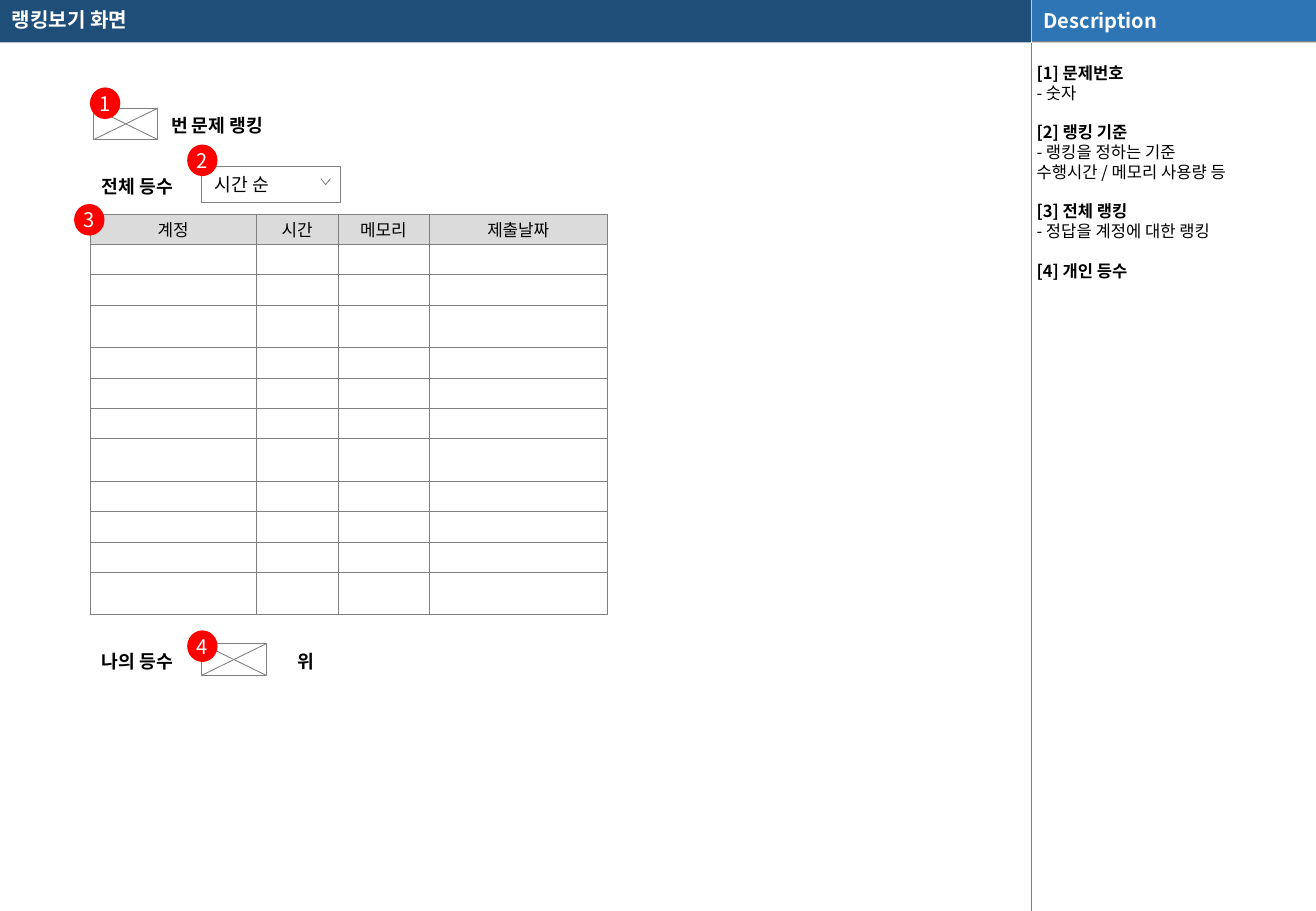
import lxml.etree
import pptx
import pptx.dml.color
import pptx.enum.shapes
import pptx.enum.text
import pptx.oxml.ns
import pptx.util

Inches = pptx.util.Inches
Pt = pptx.util.Pt
RGBColor = pptx.dml.color.RGBColor
SHAPE = pptx.enum.shapes.MSO_SHAPE
ALIGN = pptx.enum.text.PP_ALIGN
ANCHOR = pptx.enum.text.MSO_ANCHOR
qn = pptx.oxml.ns.qn

FONT = "Noto Sans CJK KR"
WHITE = RGBColor(0xFF, 0xFF, 0xFF)
BLACK = RGBColor(0, 0, 0)
NAVY = RGBColor(0x1F, 0x4E, 0x79)
BLUE = RGBColor(0x2E, 0x75, 0xB6)
GREY = RGBColor(0x80, 0x80, 0x80)
HEAD_GREY = RGBColor(0xDB, 0xDB, 0xDB)
RED = RGBColor(0xFF, 0, 0)

PAGE_W, PAGE_H = 10.83, 7.5
MAIN_W, BAR_H = 8.49, 0.35
CROSS_W, CROSS_H = 0.53, 0.26

NOTES = [
    ("[1] 문제번호", ["- 숫자"]),
    ("[2] 랭킹 기준", ["- 랭킹을 정하는 기준 \v수행시간 / 메모리 사용량 등"]),
    ("[3] 전체 랭킹", ["- 정답을 계정에 대한 랭킹"]),
    ("[4] 개인 등수", []),
]
COLUMNS = [("계정", 1.37), ("시간", 0.67), ("메모리", 0.75), ("제출날짜", 1.47)]
ROW_HEIGHTS = [0.25] + [0.25, 0.25, 0.35] + [0.25, 0.25, 0.25, 0.35] * 2


def style_para(para, size, color=BLACK, bold=False, align=ALIGN.LEFT):
    para.alignment = align
    for span in para.runs:
        span.font.name = FONT
        span.font.size = Pt(size)
        span.font.bold = bold
        span.font.color.rgb = color
        east_asian = lxml.etree.SubElement(span.font._element, qn("a:ea"))
        east_asian.set("typeface", FONT)


def set_frame(frame, insets, anchor=ANCHOR.MIDDLE, wrap=True):
    """Set the insets (left, top, right, bottom), anchor and wrapping."""
    (frame.margin_left, frame.margin_top,
     frame.margin_right, frame.margin_bottom) = map(Inches, insets)
    frame.vertical_anchor = anchor
    frame.word_wrap = wrap


def add_box(shapes, left, top, width, height, fill, line=None, kind=SHAPE.RECTANGLE):
    box = shapes.add_shape(kind, *map(Inches, (left, top, width, height)))
    paint(box, fill, line)
    return box


def paint(shape, fill, line=None):
    shape.shadow.inherit = False
    shape.fill.solid()
    shape.fill.fore_color.rgb = fill
    if line is None:
        shape.line.fill.background()
    else:
        shape.line.color.rgb = line
        shape.line.width = Pt(0.5)


def add_line(shapes, x1, y1, x2, y2, color=GREY, width=0.5):
    line = shapes.add_connector(pptx.enum.shapes.MSO_CONNECTOR.STRAIGHT,
                                *map(Inches, (x1, y1, x2, y2)))
    line.line.color.rgb = color
    line.line.width = Pt(width)
    lxml.etree.SubElement(line._element.spPr, qn("a:effectLst"))


def add_label(page, left, top, width, height, text, size=10.8, color=BLACK):
    label = page.shapes.add_textbox(*map(Inches, (left, top, width, height)))
    set_frame(label.text_frame, (0.1, 0.05, 0.1, 0.05))
    label.text_frame.text = text
    para = label.text_frame.paragraphs[0]
    style_para(para, size, color, bold=True)
    return para


def add_frame(page):
    """Title bar, description heading and the divider between the two regions."""
    side_w = PAGE_W - MAIN_W
    add_box(page.shapes, 0, 0, MAIN_W, BAR_H, NAVY)
    add_box(page.shapes, MAIN_W, 0, side_w, BAR_H, GREY)
    add_line(page.shapes, MAIN_W, 0, MAIN_W, BAR_H, WHITE, 0.25)
    add_line(page.shapes, MAIN_W, BAR_H, MAIN_W, PAGE_H, GREY, 0.25)
    heading = add_box(page.shapes, MAIN_W, 0, side_w, BAR_H - 0.01, BLUE)
    set_frame(heading.text_frame, (0.1, 0.05, 0.1, 0.05))
    heading.text_frame.text = "Description"
    style_para(heading.text_frame.paragraphs[0], 11.9, WHITE, bold=True)
    title = add_label(page, 0, 0, 8.25, BAR_H, "랭킹보기 화면", 11.9, WHITE)
    title.line_spacing = 0.9


def add_notes(page, left, top, width, height):
    pitch = Pt(11.7)
    box = page.shapes.add_textbox(*map(Inches, (left, top, width, height)))
    frame = box.text_frame
    set_frame(frame, (0.04, 0.17, 0.04, 0), ANCHOR.TOP)
    for index, (heading, details) in enumerate(NOTES):
        for position, text in enumerate([heading] + details):
            first = index == position == 0
            para = frame.paragraphs[0] if first else frame.add_paragraph()
            para.text = text
            para.line_spacing = pitch
            para.space_before = pitch if position == 0 and not first else Pt(0)
            style_para(para, 9.8, bold=position == 0)


def add_crossed_box(page, left, top):
    group = page.shapes.add_group_shape().shapes
    right, bottom = left + CROSS_W, top + CROSS_H
    add_box(group, left, top, CROSS_W, CROSS_H, WHITE, GREY)
    add_line(group, left, bottom, right, top)
    add_line(group, right, bottom, left, top)


def add_dropdown(page, left, top, width, height, text):
    group = page.shapes.add_group_shape().shapes
    field = add_box(group, left, top, width, height, WHITE, GREY)
    set_frame(field.text_frame, (0.11, 0.05, 0.22, 0.05))
    field.text_frame.text = text
    style_para(field.text_frame.paragraphs[0], 10.8)
    tip_x, arrow_y = left + width - 0.12, top + 0.1
    arrow = group.build_freeform(Inches(tip_x - 0.04), Inches(arrow_y))
    arrow.add_line_segments([(Inches(tip_x), Inches(arrow_y + 0.05)),
                             (Inches(tip_x + 0.04), Inches(arrow_y))], close=False)
    paint(arrow.convert_to_shape(), WHITE, GREY)


def add_cell_borders(cell):
    props = cell._tc.get_or_add_tcPr()
    for index, side in enumerate(("a:lnL", "a:lnR", "a:lnT", "a:lnB")):
        border = lxml.etree.Element(qn(side), w=str(Pt(0.25)))
        fill = lxml.etree.SubElement(border, qn("a:solidFill"))
        lxml.etree.SubElement(fill, qn("a:srgbClr"), val=str(GREY))
        props.insert(index, border)


def add_ranking_table(page, left, top):
    width = sum(column_width for _, column_width in COLUMNS)
    table = page.shapes.add_table(
        len(ROW_HEIGHTS), len(COLUMNS),
        *map(Inches, (left, top, width, sum(ROW_HEIGHTS)))).table
    table.first_row = table.horz_banding = False
    for row, height in zip(table.rows, ROW_HEIGHTS):
        row.height = Inches(height)
    for index, (heading, column_width) in enumerate(COLUMNS):
        table.columns[index].width = Inches(column_width)
        for row_index in range(len(ROW_HEIGHTS)):
            cell = table.cell(row_index, index)
            cell.margin_left = cell.margin_right = Inches(0.04)
            cell.margin_top, cell.margin_bottom = Inches(0.01), 0
            cell.vertical_anchor = ANCHOR.MIDDLE
            cell.fill.solid()
            cell.fill.fore_color.rgb = WHITE if row_index else HEAD_GREY
            add_cell_borders(cell)
            para = cell.text_frame.paragraphs[0]
            if row_index == 0:
                para.text = heading
                style_para(para, 10, align=ALIGN.CENTER)
            else:
                lxml.etree.SubElement(para._p, qn("a:endParaRPr"), sz="1000")


def add_marker(page, number, left, top):
    marker = add_box(page.shapes, left, top, 0.25, 0.26, RED, kind=SHAPE.OVAL)
    set_frame(marker.text_frame, (0, 0, 0, 0), wrap=False)
    marker.text_frame.text = str(number)
    style_para(marker.text_frame.paragraphs[0], 11.9, WHITE, align=ALIGN.CENTER)


def add_ranking_screen(page, left, top):
    field_x = left + 0.92
    add_crossed_box(page, left + 0.03, top)
    add_label(page, left + 0.57, top, 1.33, 0.28, "번 문제 랭킹")
    add_ranking_table(page, left, top + 0.87)
    add_dropdown(page, field_x, top + 0.48, 1.14, 0.3, "시간 순")
    add_label(page, left, top + 0.5, 0.93, 0.28, "전체 등수")
    add_label(page, left, top + 4.41, 0.93, 0.28, "나의 등수")
    add_crossed_box(page, field_x, top + 4.41)
    add_label(page, left + 1.61, top + 4.41, 0.93, 0.28, "위")
    offsets = [(0, -0.17), (0.8, 0.3), (-0.13, 0.79), (0.8, 4.3)]
    for number, (dx, dy) in enumerate(offsets, 1):
        add_marker(page, number, left + dx, top + dy)


def main():
    deck = pptx.Presentation()
    deck.slide_width, deck.slide_height = Inches(PAGE_W), Inches(PAGE_H)
    page = deck.slides.add_slide(deck.slide_layouts[6])
    add_frame(page)
    add_notes(page, MAIN_W, BAR_H, PAGE_W - MAIN_W, PAGE_H - BAR_H)
    add_ranking_screen(page, 0.74, 0.89)
    deck.save("out.pptx")


if __name__ == "__main__":
    main()
